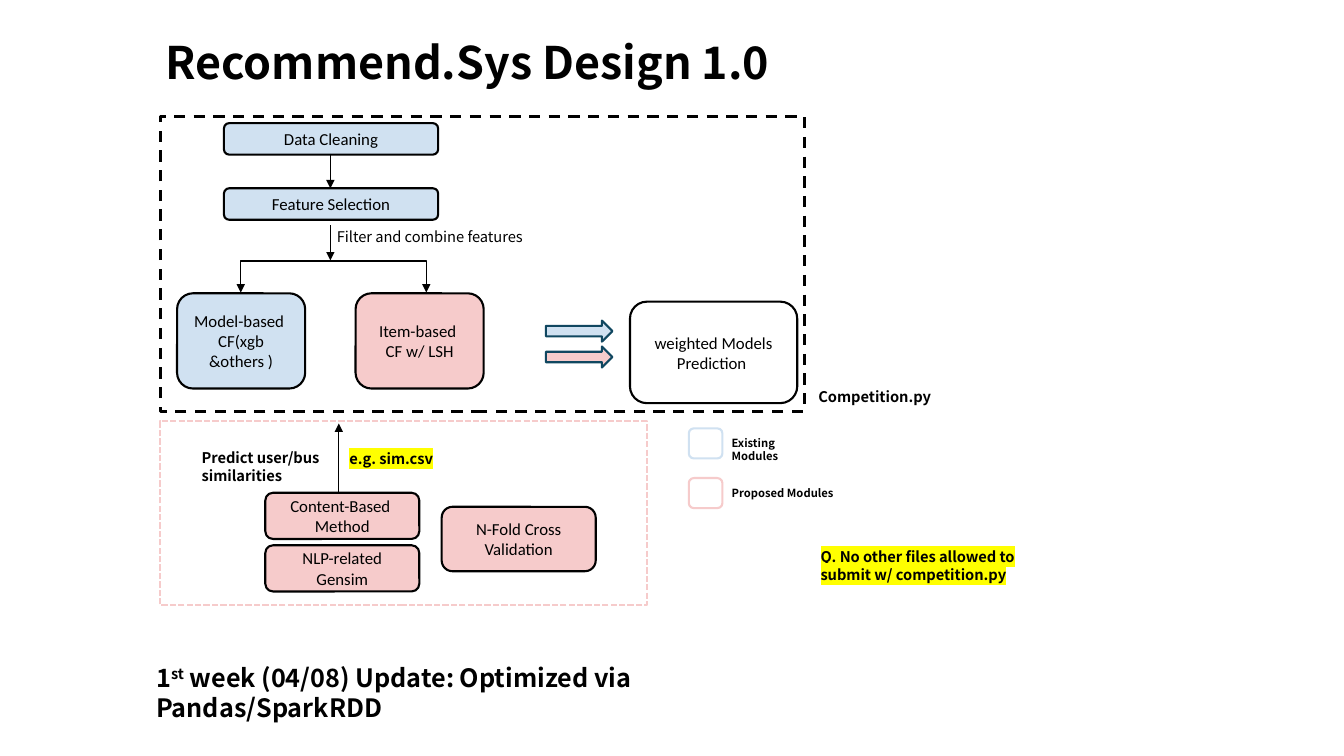
from dataclasses import dataclass

from lxml import etree
from pptx import Presentation
from pptx import util as u
from pptx.dml.color import RGBColor
from pptx.enum import dml, shapes, text
from pptx.oxml import ns

Pt = u.Pt


@dataclass(frozen=True)
class Theme:
    black: str = "000000"
    existing: str = "D0E1F1"
    proposed: str = "F6CBCB"
    arrow_edge: str = "104760"
    highlight: str = "FFFF00"
    module_font: str = "Calibri"
    label_font: str = "Noto Sans CJK SC"
    title_size: float = 32
    update_size: float = 18
    module_size: float = 12
    label_size: float = 10.5
    legend_size: float = 8


THEME = Theme()


def color(value):
    return RGBColor.from_string(value)


def format_paragraph(paragraph, size, font_name, bold=False):
    font = paragraph.font
    font.size, font.name, font.bold = Pt(size), font_name, bold
    font.color.rgb = color(THEME.black)


def add_box(slide, kind, box, fill=None, line=THEME.black, width=1.5, dash=None):
    shape = slide.shapes.add_shape(kind, *map(Pt, box))
    shape.shadow.inherit = False
    if fill:
        shape.fill.solid()
        shape.fill.fore_color.rgb = color(fill)
    else:
        shape.fill.background()
    shape.line.color.rgb = color(line)
    shape.line.width = Pt(width)
    if dash:
        shape.line.dash_style = dash
    return shape


def add_module(slide, lines, box, fill=None):
    shape = add_box(slide, shapes.MSO_SHAPE.ROUNDED_RECTANGLE, box, fill)
    frame = shape.text_frame
    frame.vertical_anchor = text.MSO_ANCHOR.MIDDLE
    frame.text = lines
    for paragraph in frame.paragraphs:
        paragraph.alignment = text.PP_ALIGN.CENTER
        format_paragraph(paragraph, THEME.module_size, THEME.module_font)


def add_label(slide, words, box, size=THEME.label_size, bold=True, highlighted=False):
    frame = slide.shapes.add_textbox(*map(Pt, box)).text_frame
    frame.word_wrap = True
    paragraph = frame.paragraphs[0]
    for word in words:
        paragraph.add_run().text = word
    format_paragraph(paragraph, size, THEME.label_font, bold)
    if highlighted:
        for run in paragraph.runs:
            highlight = etree.SubElement(run.font._element, ns.qn("a:highlight"))
            etree.SubElement(highlight, ns.qn("a:srgbClr"), val=THEME.highlight)
    return paragraph


def add_arrow(slide, start, end):
    bent = start[0] != end[0] and start[1] != end[1]
    kind = shapes.MSO_CONNECTOR.ELBOW if bent else shapes.MSO_CONNECTOR.STRAIGHT
    connector = slide.shapes.add_connector(kind, *map(Pt, start + end))
    connector.line.color.rgb = color(THEME.black)
    connector.line.width = Pt(1)
    properties = connector._element.spPr
    if bent:
        properties.find(ns.qn("a:prstGeom")).set("prst", "bentConnector2")
    line = properties.find(ns.qn("a:ln"))
    etree.SubElement(line, ns.qn("a:tailEnd"), type="triangle")
    etree.SubElement(properties, ns.qn("a:effectLst"))


def add_title(slide, words):
    title = slide.shapes.title
    title.left, title.top, title.width, title.height = map(Pt, (111, 21.5, 558, 46))
    frame = title.text_frame
    frame.text = words
    frame.auto_size = text.MSO_AUTO_SIZE.NONE
    frame.vertical_anchor = text.MSO_ANCHOR.TOP
    paragraph = frame.paragraphs[0]
    paragraph.alignment = text.PP_ALIGN.LEFT
    format_paragraph(paragraph, THEME.title_size, THEME.label_font, True)


def add_pipeline(slide):
    for name, top in (("Data Cleaning", 88), ("Feature Selection", 134.5)):
        add_module(slide, name, (160, top, 153, 22.5), THEME.existing)
    add_module(slide, "Model-based \nCF(xgb &others )", (126.5, 209.5, 91.5, 68), THEME.existing)
    add_module(slide, "Item-based \nCF w/ LSH", (254, 209.5, 91.5, 68), THEME.proposed)
    add_module(slide, "weighted Models Prediction ", (450, 215.5, 119.5, 72.5))
    for fill, top in ((THEME.existing, 229), (THEME.proposed, 247.5)):
        add_box(slide, shapes.MSO_SHAPE.RIGHT_ARROW, (390, top, 47.5, 15), fill, THEME.arrow_edge)
    for start, end in (
        ((236, 110), (236, 134.5)),
        ((236, 161), (236, 186)),
        ((294, 186.5), (172, 209)),
        ((184, 186.5), (304.5, 209)),
    ):
        add_arrow(slide, start, end)
    add_box(slide, shapes.MSO_SHAPE.RECTANGLE, (114.5, 83, 460, 211),
            width=2, dash=dml.MSO_LINE.DASH)
    add_label(slide, ["Filter and combine features"], (233.5, 159, 147.5, 20), bold=False)
    add_label(slide, ["Competition.py"], (577.5, 273.5, 117, 20))


def add_proposals(slide):
    add_box(slide, shapes.MSO_SHAPE.RECTANGLE, (114, 301, 348, 131),
            line=THEME.proposed, dash=dml.MSO_LINE.SQUARE_DOT)
    for name, box in (
        ("Content-Based \nMethod", (189.5, 352, 110, 33)),
        ("NLP-related\nGensim", (189.5, 389.5, 110, 33)),
        ("N-Fold Cross Validation", (315.5, 362, 110, 46)),
    ):
        add_module(slide, name, box, THEME.proposed)
    add_arrow(slide, (242, 352), (242, 302.5))
    add_label(slide, ["Predict user/bus similarities"], (137, 317, 117, 32))
    add_label(slide, ["e.g. sim.csv"], (242.5, 318, 147.5, 20), highlighted=True)


def add_legend(slide):
    for name, line, top, width in (
        ("Existing Modules", THEME.existing, 306, 80),
        ("Proposed Modules", THEME.proposed, 341.5, 92),
    ):
        add_box(slide, shapes.MSO_SHAPE.ROUNDED_RECTANGLE, (492, top, 24, 21.5), line=line)
        add_label(slide, [name], (515.5, top + 2, width, 17), THEME.legend_size)


def add_notes_below(slide):
    add_label(slide, ["Q. No other files allowed to submit w/ competition.py"],
              (579, 388, 184, 32), highlighted=True)
    update = add_label(slide, ["1", "st", " week (04/08) Update: Optimized via Pandas/SparkRDD"],
                       (104.5, 469.5, 380, 50), THEME.update_size)
    update.runs[1].font._element.set("baseline", "30000")


def main():
    presentation = Presentation()
    presentation.slide_width, presentation.slide_height = Pt(960), Pt(540)
    slide = presentation.slides.add_slide(presentation.slide_layouts[5])
    add_title(slide, "Recommend.Sys Design 1.0")
    add_pipeline(slide)
    add_proposals(slide)
    add_legend(slide)
    add_notes_below(slide)
    presentation.save("out.pptx")


if __name__ == "__main__":
    main()
